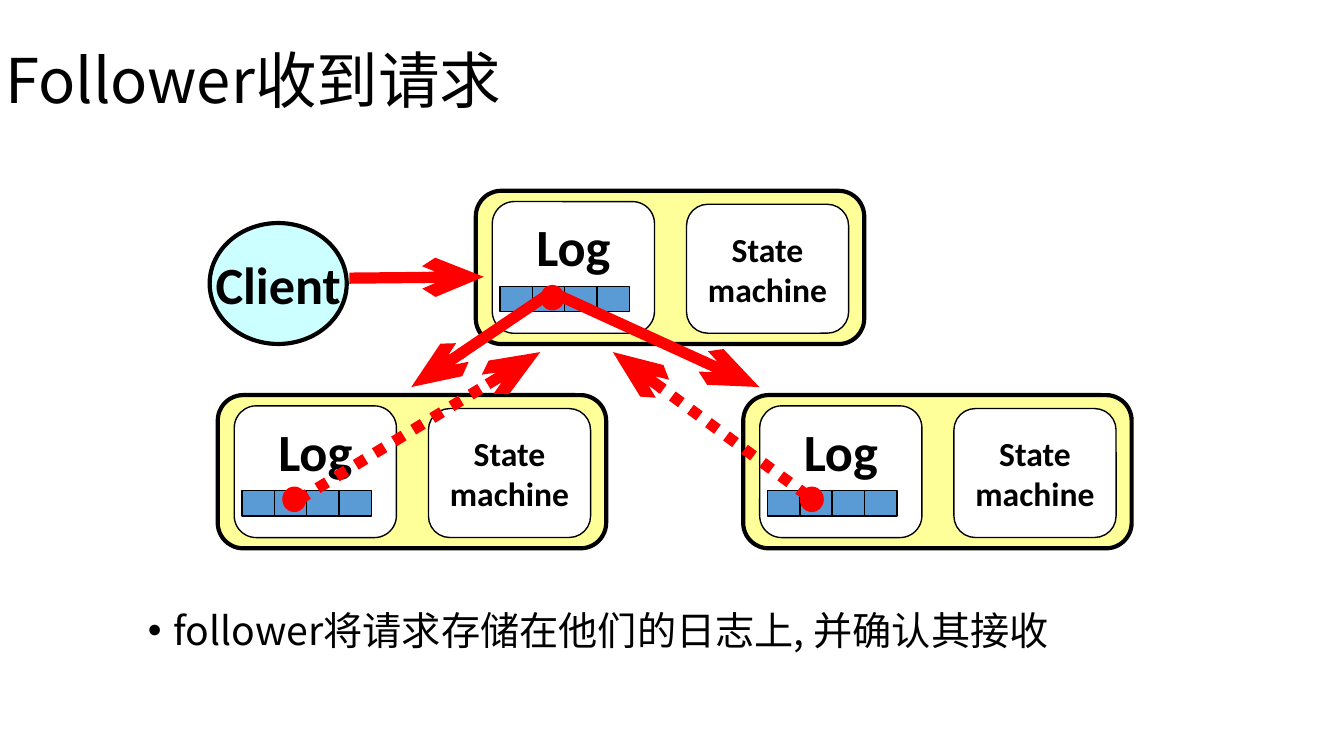
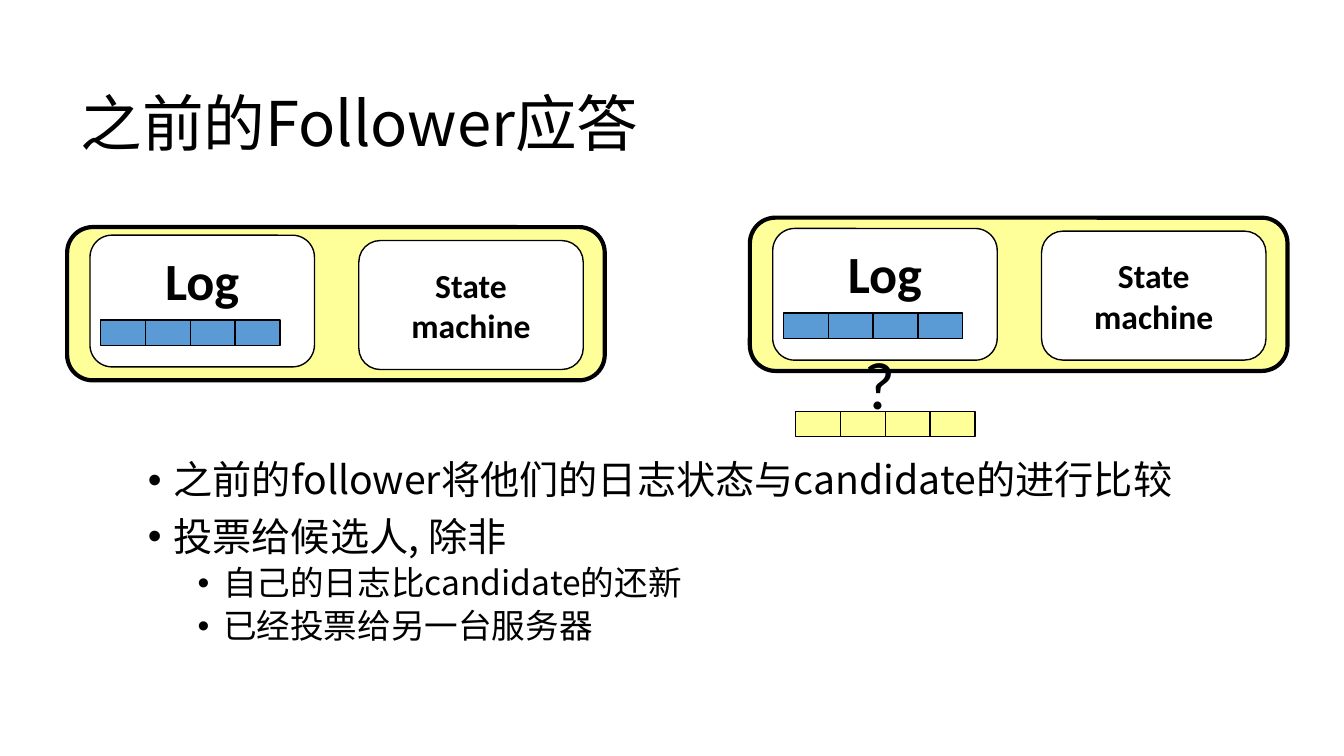
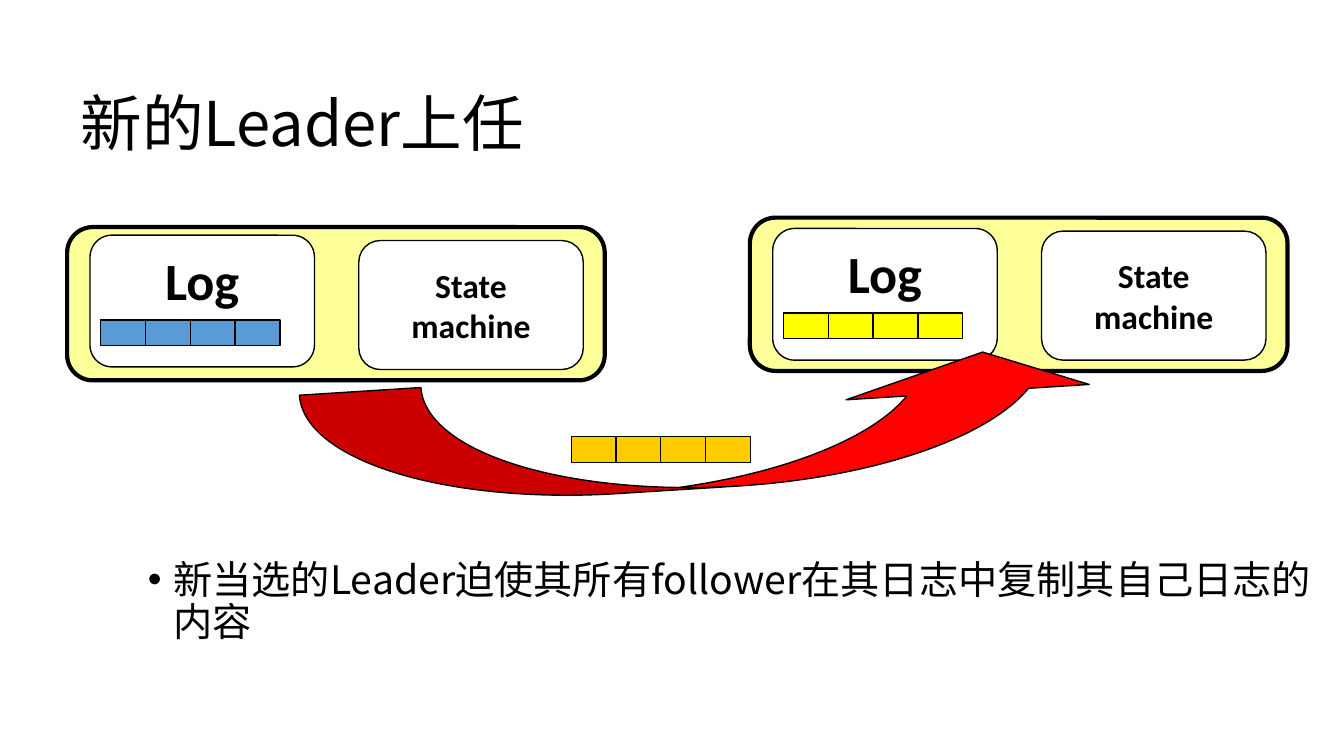
from dataclasses import dataclass
from typing import Any, Optional

from lxml import etree
from pptx import Presentation
from pptx import util as u
from pptx.dml import color as clr
from pptx.enum import dml, shapes, text
from pptx.oxml import ns
from pptx.shapes import shapetree as tree
from pptx.slide import Slide


@dataclass(frozen=True)
class Theme:
    ink: str = "000000"
    paper: str = "FFFFFF"
    server: str = "FFFF99"
    client: str = "CCFFFF"
    stored: str = "5B9BD5"
    replaced: str = "FFFF00"
    in_transit: str = "FFCC00"
    signal: str = "FF0000"
    diagram_font: str = "Calibri"
    text_font: str = "Noto Sans CJK SC"
    title_size: float = 33
    level_sizes: tuple[float, ...] = (21, 18)
    level_gaps: tuple[float, ...] = (7.5, 3.75)
    level_indents: tuple[float, ...] = (0.19, 0.56)
    name_size: float = 28
    state_size: float = 18
    question_size: float = 36
    thick: float = 2.25
    thin: float = 0.75
    arrow: float = 6


THEME = Theme()
SHAPE = shapes.MSO_SHAPE
ENTRIES = 4  # cells in every log


@dataclass(frozen=True)
class Box:
    left: float
    top: float
    width: float
    height: float

    def emu(self) -> tuple[u.Length, ...]:
        return tuple(u.Inches(v) for v in (self.left, self.top, self.width, self.height))


@dataclass(frozen=True)
class Server:
    left: float
    top: float
    width: float = 4.0
    log_drop: float = 0.08
    log_color: str = THEME.stored


@dataclass(frozen=True)
class Message:
    start: tuple[float, float]
    end: tuple[float, float]
    dotted: bool = False


@dataclass(frozen=True)
class Bullet:
    words: str
    level: int = 0


# Text
def set_font(paragraph: Any, name: str, size: float, bold: bool = False) -> None:
    font = paragraph.font
    font.name, font.size, font.bold = name, u.Pt(size), bold
    font.color.rgb = clr.RGBColor.from_string(THEME.ink)


def set_cjk_font(paragraph: Any, size: float) -> None:
    set_font(paragraph, THEME.text_font, size)
    latin = paragraph.font._element.find(ns.qn("a:latin"))
    east_asian = etree.Element(ns.qn("a:ea"), typeface=THEME.text_font)
    latin.addnext(east_asian)
    paragraph.line_spacing = 0.9


def place(placeholder: Any, box: Box) -> Any:
    placeholder.left, placeholder.top, placeholder.width, placeholder.height = box.emu()
    placeholder.text_frame.auto_size = text.MSO_AUTO_SIZE.NONE
    return placeholder.text_frame


def add_page(deck: Any, title: str, title_box: Box, bullets: list[Bullet], body_box: Box) -> Slide:
    page = deck.slides.add_slide(deck.slide_layouts[1])
    heading = place(page.shapes.title, title_box)
    heading.text = title
    heading.vertical_anchor = text.MSO_ANCHOR.MIDDLE
    heading.paragraphs[0].alignment = text.PP_ALIGN.LEFT
    set_cjk_font(heading.paragraphs[0], THEME.title_size)

    body = place(page.placeholders[1], body_box)
    body.text = "\n".join(bullet.words for bullet in bullets)
    for paragraph, bullet in zip(body.paragraphs, bullets):
        level = bullet.level
        paragraph.level = level
        set_cjk_font(paragraph, THEME.level_sizes[level])
        paragraph.space_before = u.Pt(THEME.level_gaps[level])
        props = paragraph._p.get_or_add_pPr()
        props.set("marL", str(u.Inches(THEME.level_indents[level])))
        props.set("indent", str(u.Inches(-THEME.level_indents[0])))
        mark = etree.Element(ns.qn("a:buChar"), char="•")
        props.find(ns.qn("a:defRPr")).addprevious(mark)
    return page


# Diagram parts
def draw(canvas: tree._BaseGroupShapes, kind: Any, box: Box, fill: str,
         outline: Optional[float] = THEME.thin) -> Any:
    part = canvas.add_shape(kind, *box.emu())
    part.shadow.inherit = False
    part.fill.solid()
    part.fill.fore_color.rgb = clr.RGBColor.from_string(fill)
    if outline is None:
        part.line.fill.background()
    else:
        part.line.color.rgb = clr.RGBColor.from_string(THEME.ink)
        part.line.width = u.Pt(outline)
    return part


def label(part: Any, words: str, size: float, anchor: Any = text.MSO_ANCHOR.MIDDLE) -> None:
    frame = part.text_frame
    frame.text = words
    frame.word_wrap = False
    frame.vertical_anchor = anchor
    for paragraph in frame.paragraphs:
        paragraph.alignment = text.PP_ALIGN.CENTER
        set_font(paragraph, THEME.diagram_font, size, bold=True)


def draw_entries(canvas: tree._BaseGroupShapes, left: float, top: float, color: str,
                 step: float = 1 / 3) -> None:
    for entry in range(ENTRIES):
        draw(canvas, SHAPE.RECTANGLE, Box(left + entry * step, top, step, 0.19), color)


def draw_server(page: Slide, server: Server) -> None:
    canvas = page.shapes.add_group_shape().shapes
    scale = server.width / 4
    left, top, room = server.left, server.top, 1.67 * scale
    log_top = top + server.log_drop
    draw(canvas, SHAPE.ROUNDED_RECTANGLE, Box(left, top, server.width, 1.14),
         THEME.server, THEME.thick)
    state = draw(canvas, SHAPE.ROUNDED_RECTANGLE,
                 Box(left + 2.17 * scale, top + 0.1, room, 0.96), THEME.paper)
    label(state, "State\nmachine", THEME.state_size)
    log = draw(canvas, SHAPE.ROUNDED_RECTANGLE,
               Box(left + 0.17 * scale, log_top, room, 0.98), THEME.paper)
    label(log, "Log", THEME.name_size, text.MSO_ANCHOR.TOP)
    draw_entries(canvas, left + 0.25 * scale, log_top + 0.63, server.log_color, scale / 3)


def draw_message(page: Slide, message: Message) -> None:
    ends = [u.Inches(v) for v in (*message.start, *message.end)]
    arrow = page.shapes.add_connector(shapes.MSO_CONNECTOR.STRAIGHT, *ends)
    arrow.line.color.rgb = clr.RGBColor.from_string(THEME.signal)
    arrow.line.width = u.Pt(THEME.arrow)
    if message.dotted:
        arrow.line.dash_style = dml.MSO_LINE.ROUND_DOT
        arrow.line._ln.find(ns.qn("a:prstDash")).set("val", "sysDot")
    etree.SubElement(arrow.line._ln, ns.qn("a:tailEnd"), type="arrow", len="lg")
    etree.SubElement(arrow._element.spPr, ns.qn("a:effectLst"))


# Slides
TITLE_BOX = Box(0.5, 0.38, 9.5, 1.12)
OLD_SERVER = Server(0.5, 1.69, log_drop=0.06)


def request_slide(deck: Any) -> None:
    page = add_page(deck, "Follower收到请求", Box(-0.06, 0.06, 9.25, 1.12),
                    [Bullet("follower将请求存储在他们的日志上, 并确认其接收")],
                    Box(1, 4.5, 9, 0.75))
    draw_server(page, Server(3.54, 1.42, 2.89))
    client = draw(page.shapes, SHAPE.OVAL, Box(1.56, 1.66, 1.02, 0.9),
                  THEME.client, THEME.thick)
    label(client, "Client", THEME.name_size)
    for left in (1.62, 5.53):
        draw_server(page, Server(left, 2.94, 2.89))
    for left, top in ((4.02, 2.12), (2.1, 3.62), (5.95, 3.62)):
        draw(page.shapes, SHAPE.OVAL, Box(left, top, 0.18, 0.19), THEME.signal, None)
    for message in (
        Message((2.6, 2.07), (3.6, 2.06)),
        Message((4.08, 2.19), (3.06, 2.88)),
        Message((4.14, 2.19), (5.65, 2.88)),
        Message((2.22, 3.72), (4.02, 2.62), dotted=True),
        Message((6.01, 3.69), (4.56, 2.62), dotted=True),
    ):
        draw_message(page, message)


def reply_slide(deck: Any) -> None:
    page = add_page(deck, "之前的Follower应答", TITLE_BOX, [
        Bullet("之前的follower将他们的日志状态与candidate的进行比较"),
        Bullet("投票给候选人, 除非"),
        Bullet("自己的日志比candidate的还新", 1),
        Bullet("已经投票给另一台服务器", 1),
    ], Box(1, 3.38, 9, 2.06))
    draw_server(page, OLD_SERVER)
    draw_server(page, Server(5.58, 1.62))
    draw_entries(page.shapes, 5.92, 3.06, THEME.server)
    question = page.shapes.add_textbox(*Box(6.33, 2.5, 0.44, 0.71).emu()).text_frame
    question.text = "?"
    question.word_wrap = False
    question.auto_size = text.MSO_AUTO_SIZE.SHAPE_TO_FIT_TEXT
    set_font(question.paragraphs[0], THEME.diagram_font, THEME.question_size)


def leader_slide(deck: Any) -> None:
    page = add_page(deck, "新的Leader上任", TITLE_BOX,
                    [Bullet("新当选的Leader迫使其所有follower在其日志中复制其自己日志的内容")],
                    Box(1, 4.12, 9, 1.31))
    draw_server(page, OLD_SERVER)
    draw_server(page, Server(5.58, 1.62, log_color=THEME.replaced))
    copying = draw(page.shapes, SHAPE.CURVED_LEFT_ARROW, Box(4.81, 0.19, 0.88, 6), THEME.signal)
    for index, value in enumerate((1.03, 2.06, 0.33)):
        copying.adjustments[index] = value
    copying.rotation = 266.4
    copying._element.spPr.find(ns.qn("a:xfrm")).set("flipH", "1")
    draw_entries(page.shapes, 4.25, 3.25, THEME.in_transit)


def main() -> None:
    deck = Presentation()
    deck.slide_width = u.Inches(10)
    deck.slide_height = deck.slide_width * 9 // 16
    for build in (request_slide, reply_slide, leader_slide):
        build(deck)
    deck.save("out.pptx")


if __name__ == "__main__":
    main()
